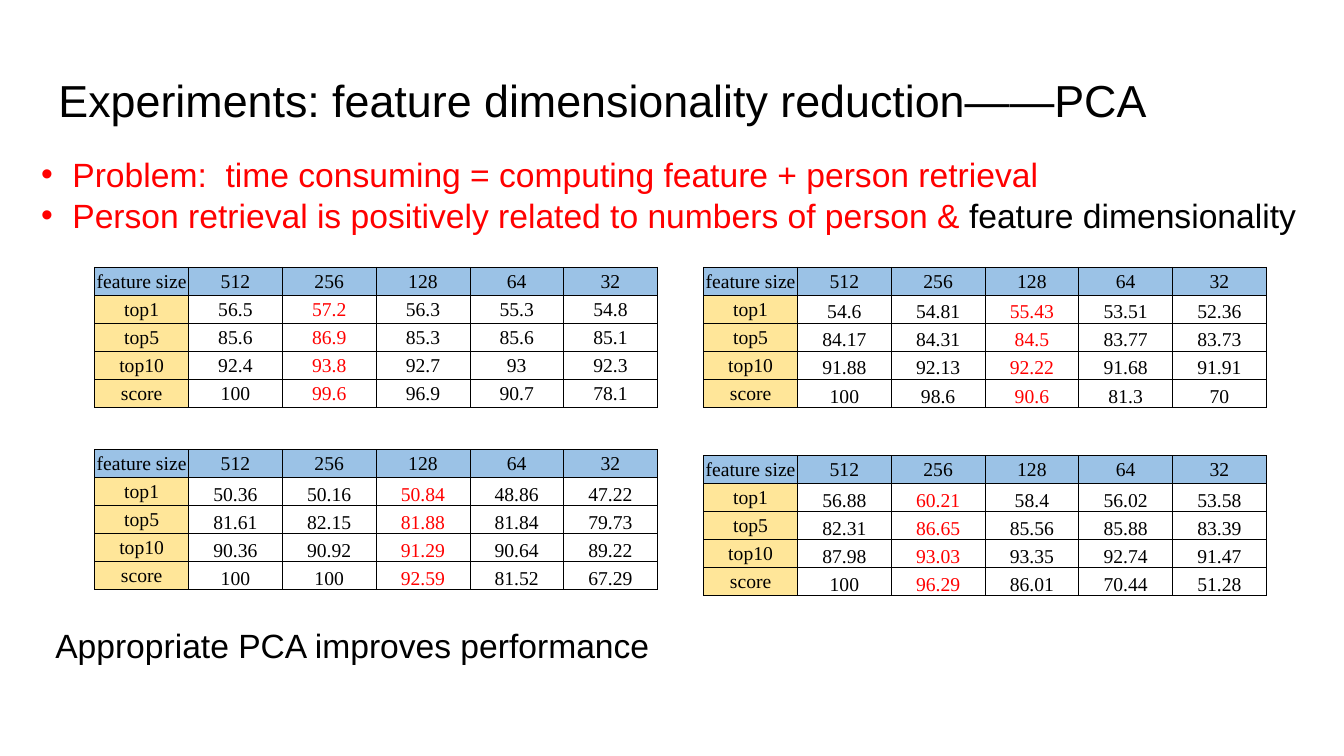
import lxml.etree
import pptx
import pptx.dml.color
import pptx.enum.text
import pptx.oxml.ns
import pptx.util

Inches = pptx.util.Inches
Pt = pptx.util.Pt
RGBColor = pptx.dml.color.RGBColor
Align = pptx.enum.text.PP_ALIGN
Anchor = pptx.enum.text.MSO_ANCHOR
qn = pptx.oxml.ns.qn

BLACK = RGBColor(0x00, 0x00, 0x00)
RED = RGBColor(0xFF, 0x00, 0x00)
HEADER_BLUE = RGBColor(0x9B, 0xC2, 0xE6)
LABEL_YELLOW = RGBColor(0xFF, 0xE6, 0x99)

SIZES = ["feature size", "512", "256", "128", "64", "32"]
METRICS = ["top1", "top5", "top10", "score"]
TABLE_WIDTH, TABLE_HEIGHT = 5.58, 1.39

# left, top, best size, anchor of the values, values by metric
RESULTS = [
    (0.94, 2.65, "256", Anchor.MIDDLE, [
        "56.5 57.2 56.3 55.3 54.8",
        "85.6 86.9 85.3 85.6 85.1",
        "92.4 93.8 92.7 93 92.3",
        "100 99.6 96.9 90.7 78.1"]),
    (6.98, 2.65, "128", Anchor.BOTTOM, [
        "54.6 54.81 55.43 53.51 52.36",
        "84.17 84.31 84.5 83.77 83.73",
        "91.88 92.13 92.22 91.68 91.91",
        "100 98.6 90.6 81.3 70"]),
    (0.94, 4.46, "128", Anchor.BOTTOM, [
        "50.36 50.16 50.84 48.86 47.22",
        "81.61 82.15 81.88 81.84 79.73",
        "90.36 90.92 91.29 90.64 89.22",
        "100 100 92.59 81.52 67.29"]),
    (6.98, 4.52, "256", Anchor.BOTTOM, [
        "56.88 60.21 58.4 56.02 53.58",
        "82.31 86.65 85.56 85.88 83.39",
        "87.98 93.03 93.35 92.74 91.47",
        "100 96.29 86.01 70.44 51.28"]),
]


def add_span(para, text, size, color, font="Arial"):
    span = para.add_run()
    span.text = text
    span.font.name = font
    span.font.size = Pt(size)
    span.font.color.rgb = color


def add_text_frame(page, left, top, width, height):
    box = page.shapes.add_textbox(Inches(left), Inches(top), Inches(width), Inches(height))
    box.text_frame.word_wrap = True
    return box.text_frame


def add_title(page, left, top, width, height):
    frame = add_text_frame(page, left, top, width, height)
    frame.margin_left = frame.margin_right = Inches(0.13)
    frame.margin_top = frame.margin_bottom = Inches(0.13)
    para = frame.paragraphs[0]
    para.line_spacing = 0.9
    add_span(para, "Experiments: feature dimensionality reduction——PCA", 32, BLACK)


def add_problem(page, left, top, width, height):
    frame = add_text_frame(page, left, top, width, height)
    first, second = frame.paragraphs[0], frame.add_paragraph()
    for para in (first, second):
        props = para._p.get_or_add_pPr()
        props.set("marL", str(Inches(0.31)))
        props.set("indent", str(-Inches(0.31)))
        lxml.etree.SubElement(props, qn("a:buFont")).set("typeface", "Arial")
        lxml.etree.SubElement(props, qn("a:buChar")).set("char", "•")
    add_span(first, "Problem:  time consuming = computing feature + person retrieval", 24, RED)
    add_span(second, "Person retrieval is positively related to numbers of person & ", 24, RED)
    add_span(second, "feature dimensionality", 24, BLACK)


def add_conclusion(page, left, top, width, height):
    frame = add_text_frame(page, left, top, width, height)
    add_span(frame.paragraphs[0], "Appropriate PCA improves performance", 24, BLACK)


def add_borders(cell):
    """Draw a thin black line on each side; lines must precede the fill."""
    props = cell._tc.get_or_add_tcPr()
    for position, side in enumerate(("a:lnL", "a:lnR", "a:lnT", "a:lnB")):
        line = lxml.etree.Element(qn(side), w=str(Pt(0.5)))
        fill = lxml.etree.SubElement(line, qn("a:solidFill"))
        lxml.etree.SubElement(fill, qn("a:srgbClr")).set("val", str(BLACK))
        props.insert(position, line)


def fill_cell(cell, text, color, background, anchor):
    cell.margin_left = cell.margin_right = cell.margin_top = Inches(0.01)
    cell.margin_bottom = 0
    cell.vertical_anchor = anchor
    if background is None:
        cell.fill.background()
    else:
        cell.fill.solid()
        cell.fill.fore_color.rgb = background
    para = cell.text_frame.paragraphs[0]
    para.alignment = Align.CENTER
    add_span(para, text, 14, color, "Times New Roman")
    add_borders(cell)


def add_results(page, left, top, best_size, value_anchor, values):
    rows = [SIZES] + [[metric] + line.split() for metric, line in zip(METRICS, values)]
    table = page.shapes.add_table(
        len(rows), len(SIZES), Inches(left), Inches(top),
        Inches(TABLE_WIDTH), Inches(TABLE_HEIGHT)).table
    table.first_row = table.horz_banding = False
    best_column = SIZES.index(best_size)
    for row, texts in enumerate(rows):
        for column, text in enumerate(texts):
            color, background, anchor = BLACK, None, Anchor.MIDDLE
            if row == 0:
                background = HEADER_BLUE
            elif column == 0:
                background = LABEL_YELLOW
            else:
                anchor = value_anchor
                color = RED if column == best_column else BLACK
            fill_cell(table.cell(row, column), text, color, background, anchor)


def main():
    deck = pptx.Presentation()
    deck.slide_width, deck.slide_height = Inches(13.33), Inches(7.5)
    page = deck.slides.add_slide(deck.slide_layouts[6])
    add_title(page, 0.45, 0.65, 12.42, 0.84)
    add_problem(page, 0.31, 1.48, 12.72, 1.72)
    add_conclusion(page, 0.45, 6.15, 9.03, 0.5)
    for result in RESULTS:
        add_results(page, *result)
    deck.save("out.pptx")


if __name__ == "__main__":
    main()
